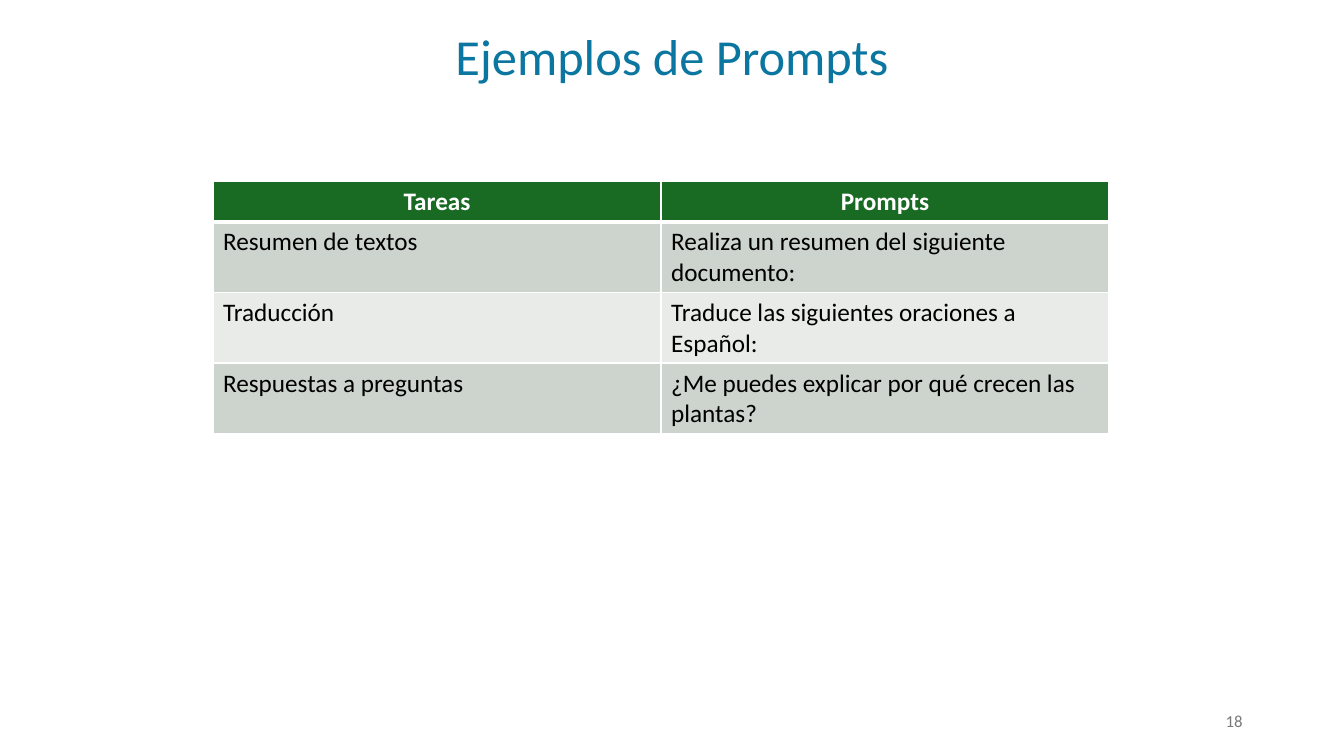
from lxml import etree
from pptx import Presentation
from pptx.dml.color import RGBColor
from pptx.enum.text import MSO_ANCHOR, PP_ALIGN
from pptx.oxml.ns import qn
from pptx.util import Inches, Pt

LEFT, CENTER, RIGHT = PP_ALIGN.LEFT, PP_ALIGN.CENTER, PP_ALIGN.RIGHT
TOP, MIDDLE = MSO_ANCHOR.TOP, MSO_ANCHOR.MIDDLE

WHITE = RGBColor(0xFF, 0xFF, 0xFF)
BLACK = RGBColor(0x00, 0x00, 0x00)
TITLE_BLUE = RGBColor(0x0B, 0x76, 0xA0)
NUMBER_GRAY = RGBColor(0x79, 0x79, 0x79)
HEADER_GREEN = RGBColor(0x19, 0x6B, 0x24)
BANDS = (RGBColor(0xCC, 0xD4, 0xCD), RGBColor(0xE8, 0xEB, 0xE8))

SLIDE_WIDTH, SLIDE_HEIGHT = Inches(13.33), Inches(7.5)
HEADER_HEIGHT, BODY_HEIGHT = Inches(0.4), Inches(0.7)
BORDER, HEADER_RULE = Pt(1), Pt(3)

TASKS = (
    ("Tareas", "Prompts"),
    ("Resumen de textos", "Realiza un resumen del siguiente documento:"),
    ("Traducción", "Traduce las siguientes oraciones a Español:"),
    ("Respuestas a preguntas", "¿Me puedes explicar por qué crecen las plantas?"),
)


def share(left, top, width, height):
    """Turn shares of the slide's size into lengths."""
    return (round(left * SLIDE_WIDTH), round(top * SLIDE_HEIGHT),
            round(width * SLIDE_WIDTH), round(height * SLIDE_HEIGHT))


def write(frame, text, color, size, bold=False, **paragraph_format):
    paragraph = frame.paragraphs[0]
    for name, value in paragraph_format.items():
        setattr(paragraph, name, value)
    run = paragraph.add_run()
    run.text = text
    for name, value in {"name": "Calibri", "size": Pt(size), "bold": bold}.items():
        setattr(run.font, name, value)
    run.font.color.rgb = color


def add_label(slide, area, text, color, size, anchor=TOP, **paragraph_format):
    frame = slide.shapes.add_textbox(*area).text_frame
    frame.word_wrap = True
    frame.vertical_anchor = anchor
    write(frame, text, color, size, **paragraph_format)


def set_borders(cell, widths):
    properties = cell._tc.get_or_add_tcPr()
    # Border lines come before the fill in the cell properties
    for index, (side, width) in enumerate(widths.items()):
        line = etree.Element(qn(f"a:{side}"), w=str(width))
        fill = etree.SubElement(line, qn("a:solidFill"))
        etree.SubElement(fill, qn("a:srgbClr"), val=str(WHITE))
        properties.insert(index, line)


def add_prompt_table(slide, area):
    table = slide.shapes.add_table(len(TASKS), len(TASKS[0]), *area).table
    for row_index, texts in enumerate(TASKS):
        is_header = row_index == 0
        table.rows[row_index].height = HEADER_HEIGHT if is_header else BODY_HEIGHT
        background = HEADER_GREEN if is_header else BANDS[(row_index - 1) % 2]
        widths = {"lnL": BORDER, "lnR": BORDER,
                  "lnT": HEADER_RULE if row_index == 1 else BORDER,
                  "lnB": HEADER_RULE if is_header else BORDER}
        for column_index, text in enumerate(texts):
            cell = table.cell(row_index, column_index)
            cell.fill.solid()
            cell.fill.fore_color.rgb = background
            set_borders(cell, widths)
            write(cell.text_frame, text, WHITE if is_header else BLACK, 18,
                  bold=is_header, alignment=CENTER if is_header else LEFT)


def main():
    presentation = Presentation()
    presentation.slide_width, presentation.slide_height = SLIDE_WIDTH, SLIDE_HEIGHT
    slide = presentation.slides.add_slide(presentation.slide_layouts[6])

    # Title
    add_label(slide, share(0, 0.036, 1, 0.087), "Ejemplos de Prompts", TITLE_BLUE, 36,
              alignment=CENTER, line_spacing=0.9, space_after=Pt(6))
    # Slide number
    add_label(slide, share(0.707, 0.927, 0.225, 0.053), "18", NUMBER_GRAY, 12,
              anchor=MIDDLE, alignment=RIGHT)
    # Tasks and their prompts
    add_prompt_table(slide, share(0.1585, 0.24, 0.6667, 0.333))

    presentation.save("out.pptx")


if __name__ == "__main__":
    main()
